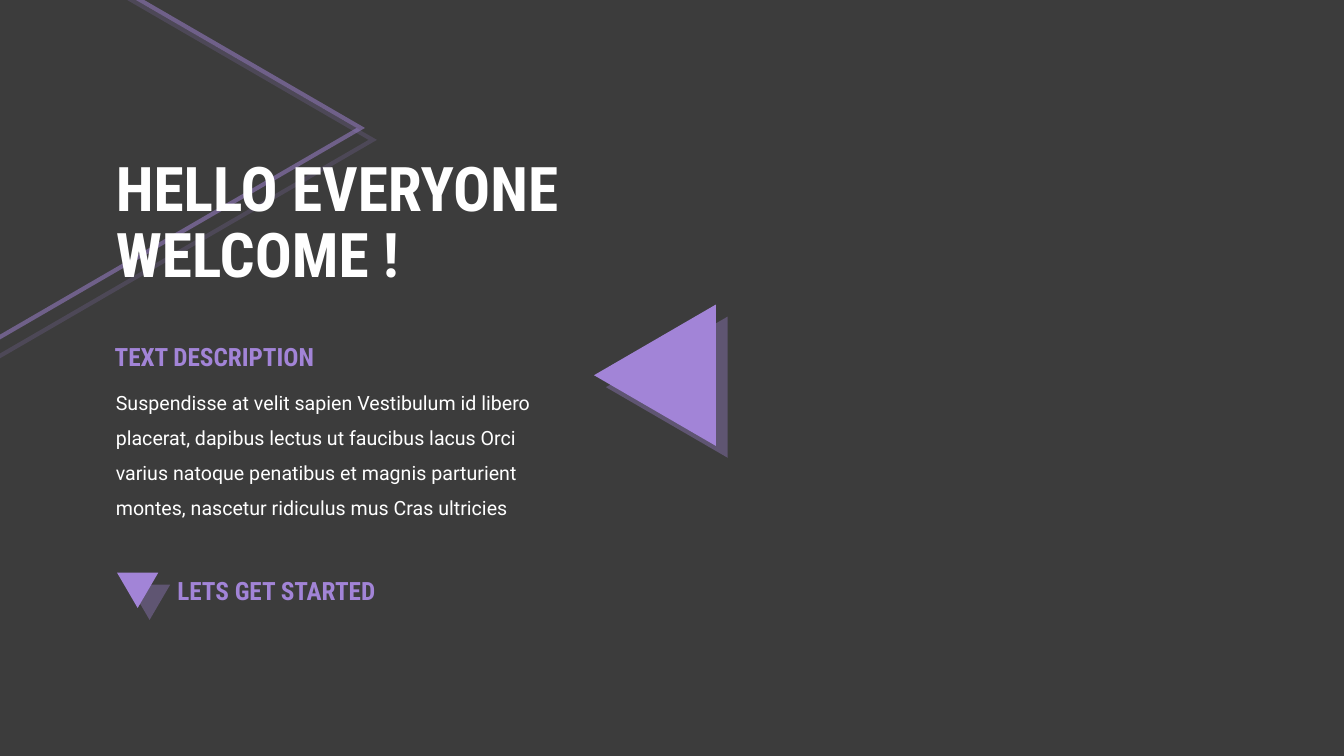
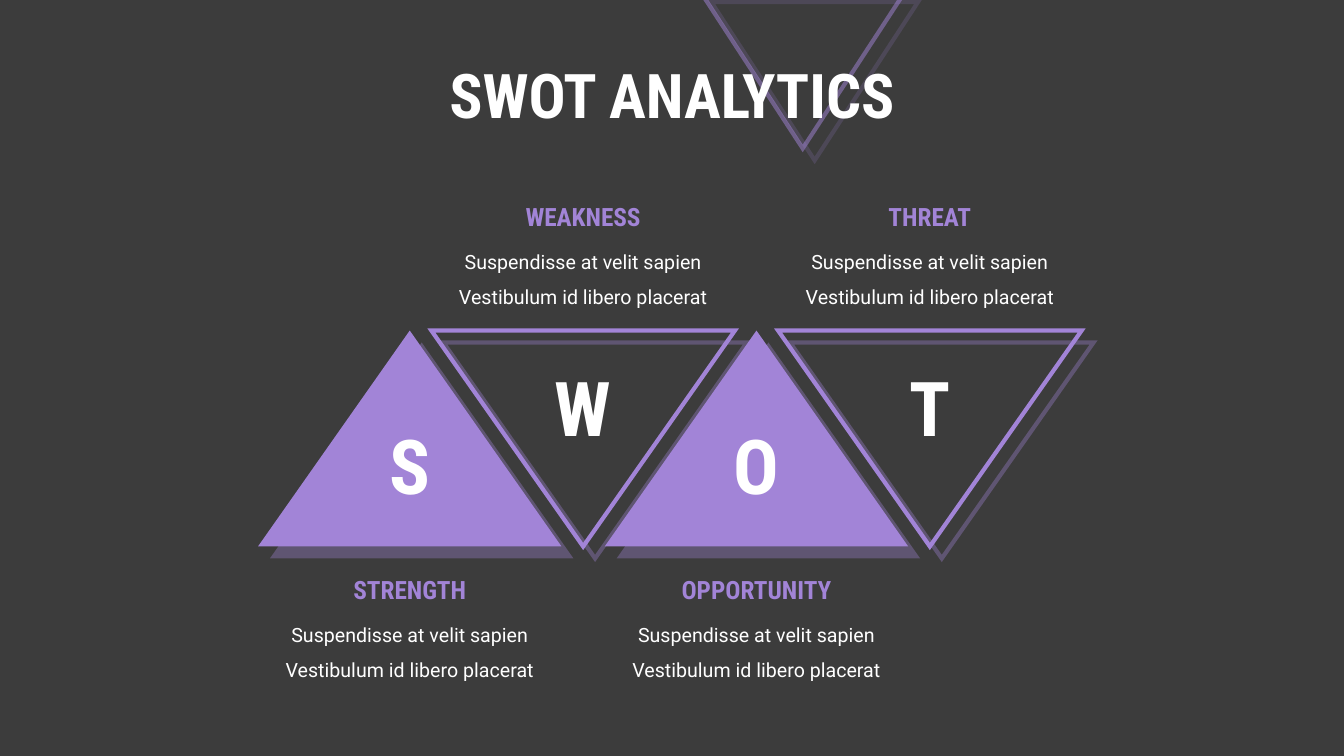
"""Build a welcome slide and a SWOT slide in a dark triangle style."""
from lxml.etree import SubElement
from pptx import Presentation
from pptx.dml.color import RGBColor
from pptx.enum.shapes import MSO_SHAPE as Preset
from pptx.enum.text import MSO_ANCHOR as Anchor, MSO_AUTO_SIZE as AutoSize, PP_ALIGN as Align
from pptx.oxml.ns import qn
from pptx.util import Cm, Pt

CHARCOAL = RGBColor(0x3C, 0x3C, 0x3C)
VIOLET = RGBColor(0xA2, 0x84, 0xD7)
WHITE = RGBColor(0xFF, 0xFF, 0xFF)
HEAD_FONT = "Roboto Condensed"
BODY_FONT = "Roboto"
SHADOW_DISTANCE = Pt(12.1)


class Deck:
    def __init__(self):
        self.prs = Presentation()
        self.prs.slide_width, self.prs.slide_height = Cm(33.88), Cm(19.05)
        background = self.prs.slide_master.background.fill
        background.solid()
        background.fore_color.rgb = CHARCOAL
        self.slide = None

    def new_slide(self):
        self.slide = self.prs.slides.add_slide(self.prs.slide_layouts[6])

    def triangle(self, left, top, width, height, rotation=0, filled=True, opacity=100):
        triangle = self.slide.shapes.add_shape(
            Preset.ISOSCELES_TRIANGLE, Cm(left), Cm(top), Cm(width), Cm(height))
        triangle.rotation = rotation
        if filled:
            triangle.fill.solid()
            triangle.fill.fore_color.rgb = VIOLET
            triangle.line.fill.background()
        else:
            triangle.fill.background()
            triangle.line.color.rgb = VIOLET
            triangle.line.width = Pt(3)
            outline = triangle._element.spPr.find(qn("a:ln"))
            if opacity < 100:
                self.set_alpha(outline.find(".//" + qn("a:srgbClr")), opacity)
            SubElement(outline, qn("a:miter"), lim="800000")
        self.cast_shadow(triangle)

    def cast_shadow(self, shape):
        shape.shadow.inherit = False
        effects = shape._element.spPr.find(qn("a:effectLst"))
        shadow = SubElement(effects, qn("a:outerShdw"), blurRad="0", dist=str(int(SHADOW_DISTANCE)),
                            dir=str(45 * 60000), algn="tl", rotWithShape="0")
        self.set_alpha(SubElement(shadow, qn("a:srgbClr"), val=str(VIOLET)), 35)

    def set_alpha(self, color, percent):
        SubElement(color, qn("a:alpha"), val=str(percent * 1000))

    def text(self, lines, left, top, width, height, size, color=WHITE, font=HEAD_FONT,
             bold=True, align=Align.LEFT, spacing=1.0, anchor=Anchor.TOP,
             fit=AutoSize.SHAPE_TO_FIT_TEXT):
        frame = self.slide.shapes.add_textbox(Cm(left), Cm(top), Cm(width), Cm(height)).text_frame
        frame.word_wrap = True
        frame.auto_size = fit
        frame.vertical_anchor = anchor
        paragraph = frame.paragraphs[0]
        paragraph.alignment = align
        paragraph.line_spacing = spacing
        for index, line in enumerate(lines):
            if index:
                paragraph.add_line_break()
            run = paragraph.add_run()
            run.text = line
            run.font.name = font
            run.font.size = Pt(size)
            run.font.bold = bold
            run.font.color.rgb = color

    def title(self, lines, left, top, width, height, align=Align.LEFT):
        self.text(lines, left, top, width, height, 44, align=align, spacing=0.9,
                  anchor=Anchor.MIDDLE, fit=AutoSize.NONE)

    def heading(self, words, left, top, align=Align.LEFT, width=6.22):
        self.text([words], left, top, width, 1.02, 18, color=VIOLET, align=align)

    def body(self, words, left, top, width, height, align=Align.LEFT):
        self.text([words], left, top, width, height, 14, font=BODY_FONT, bold=False,
                  align=align, spacing=1.5)


def build_welcome(deck):
    deck.new_slide()
    deck.triangle(-1.32, -1.6, 11.18, 9.65, rotation=90, filled=False, opacity=50)
    deck.title(["HELLO EVERYONE", "WELCOME !"], 2.67, 3.66, 19.05, 4.01)
    deck.triangle(14.73, 7.92, 3.56, 3.07, rotation=270)
    deck.body("Suspendisse at velit sapien Vestibulum id libero placerat, dapibus lectus ut "
              "faucibus lacus Orci varius natoque penatibus et magnis parturient montes, "
              "nascetur ridiculus mus Cras ultricies", 2.67, 9.42, 11.46, 3.81)
    deck.heading("TEXT DESCRIPTION", 2.64, 8.48)
    deck.triangle(2.95, 14.43, 1.04, 0.89, rotation=180)
    deck.heading("LETS GET STARTED", 4.22, 14.38)


def build_swot(deck):
    deck.new_slide()
    deck.triangle(17.63, -0.25, 5.21, 3.99, rotation=180, filled=False, opacity=50)
    deck.title(["SWOT ANALYTICS"], 8.31, 1.24, 17.27, 2.49, align=Align.CENTER)
    factors = ["STRENGTH", "WEAKNESS", "OPPORTUNITY", "THREAT"]
    first_center, pitch = 10.33, 4.37
    side, letter_width, heading_width, body_width = 7.65, 2.57, 6.22, 7.57
    placed = [(factor, first_center + index * pitch, index % 2 == 0)
              for index, factor in enumerate(factors)]
    for factor, center, upright in placed:
        deck.triangle(center - side / 2, 8.33, side, 5.44,
                      rotation=0 if upright else 180, filled=upright)
    for factor, center, upright in placed:
        deck.text([factor[0]], center - letter_width / 2, 10.44 if upright else 8.97,
                  letter_width, 2.54, 54, align=Align.CENTER)
    for factor, center, upright in placed:
        heading_top = 14.35 if upright else 4.95
        deck.body("Suspendisse at velit sapien Vestibulum id libero placerat",
                  center - body_width / 2, heading_top + 0.92, body_width, 2.03,
                  align=Align.CENTER)
        deck.heading(factor, center - heading_width / 2, heading_top,
                     align=Align.CENTER, width=heading_width)


def main():
    deck = Deck()
    build_welcome(deck)
    build_swot(deck)
    deck.prs.save("out.pptx")


if __name__ == "__main__":
    main()
